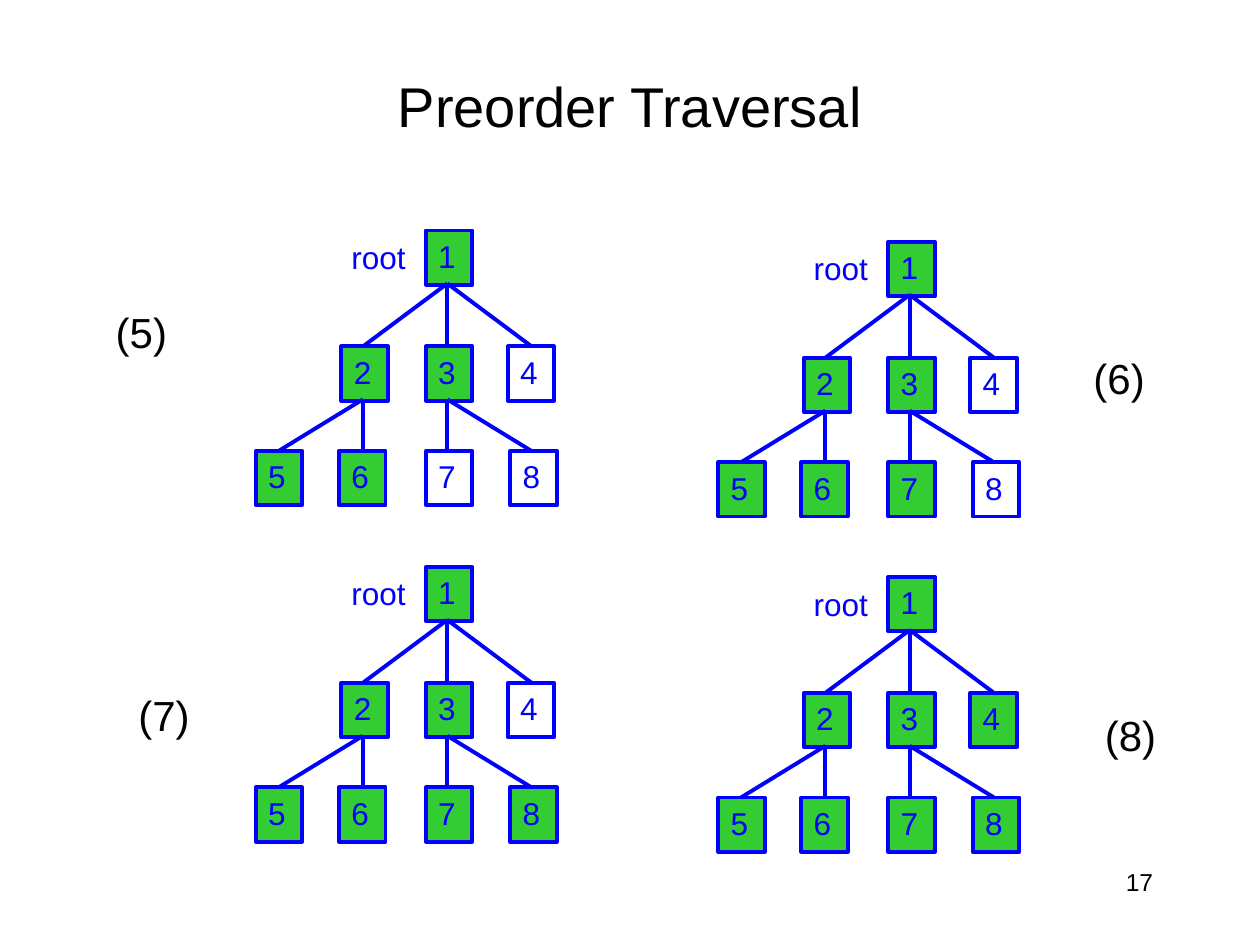
from pptx import Presentation
from pptx.dml.color import RGBColor
from pptx.enum.shapes import MSO_CONNECTOR, MSO_SHAPE
from pptx.enum.text import MSO_ANCHOR, MSO_AUTO_SIZE, PP_ALIGN
from pptx.oxml.ns import qn
from pptx.util import Inches, Pt
from lxml.etree import SubElement

COLORS = {"blue": "0000FF", "green": "33CC33", "black": "000000"}
ORDER = "12563784"
NODES = {
    "1": (0, 0), "2": (-0.67, 0.92), "3": (0, 0.92), "4": (0.65, 0.92),
    "5": (-1.35, 1.75), "6": (-0.69, 1.75), "8": (0.67, 1.75), "7": (0, 1.75),
}
EDGES = [(0, 0, 0), (0, 0, -1), (0, 0, 1),
         (1, -1, -2), (1, -1, -1), (1, 0, 0), (1, 0, 1)]
LEVELS = [(0.42, 0.92), (1.34, 1.75)]
TREES = [(3.38, 1.83), (7.05, 1.92), (3.38, 4.5), (7.05, 4.58)]
LABELS = [(0.82, 2.38), (8.58, 2.75), (1, 5.42), (8.67, 5.58)]


class Deck:
    """Draws styled elements on the current slide."""

    def __init__(self, slide, font="Arial", width=2.25):
        self.shapes = slide.shapes
        self.font = font
        self.width = Pt(width)

    def color(self, name):
        return RGBColor.from_string(COLORS[name])

    def label(self, shape, words, size, color, align=PP_ALIGN.LEFT,
              anchor=MSO_ANCHOR.TOP, wrap=False):
        frame = shape.text_frame
        frame.word_wrap = wrap
        frame.auto_size = MSO_AUTO_SIZE.NONE if wrap else MSO_AUTO_SIZE.SHAPE_TO_FIT_TEXT
        frame.vertical_anchor = anchor
        par = frame.paragraphs[0]
        par.alignment = align
        run = par.add_run()
        run.text = words
        run.font.name = self.font
        run.font.size = Pt(size)
        run.font.color.rgb = self.color(color)

    def text(self, box, words, size, color="black", **style):
        shape = self.shapes.add_textbox(*map(Inches, box))
        self.label(shape, words, size, color, **style)

    def node(self, x, y, key, seen):
        box = map(Inches, (x, y, 0.37, 0.43))
        shape = self.shapes.add_shape(MSO_SHAPE.RECTANGLE, *box)
        shape.shadow.inherit = False
        if seen:
            shape.fill.solid()
            shape.fill.fore_color.rgb = self.color("green")
        else:
            shape.fill.background()
        shape.line.color.rgb = self.color("blue")
        shape.line.width = self.width
        self.label(shape, key, 18, "blue")

    def edge(self, *ends):
        line = self.shapes.add_connector(MSO_CONNECTOR.STRAIGHT, *map(Inches, ends))
        line.line.color.rgb = self.color("blue")
        line.line.width = self.width
        SubElement(line._element.spPr, qn("a:effectLst"))

    def tree(self, x, y, count):
        for key, (dx, dy) in NODES.items():
            self.node(x + dx, y + dy, key, key in ORDER[:count])
        for level, start, end in EDGES:
            top, low = LEVELS[level]
            mid = x + 0.17
            self.edge(mid + 0.67 * start, y + top, mid + 0.67 * end, y + low)
        self.text((x - 0.69, y + 0.01, 0.63, 0.4), "root", 18, "blue")


prs = Presentation()
prs.slide_width, prs.slide_height = Inches(10), Inches(7.5)
deck = Deck(prs.slides.add_slide(prs.slide_layouts[6]))
deck.text((7.17, 6.83, 2.08, 0.5), "17", 14, align=PP_ALIGN.RIGHT, wrap=True)
deck.text((0.75, 0.42, 8.5, 0.83), "Preorder Traversal", 32,
          align=PP_ALIGN.CENTER, anchor=MSO_ANCHOR.MIDDLE, wrap=True)
for count, (root, label) in enumerate(zip(TREES, LABELS), 5):
    deck.tree(*root, count)
    deck.text((*label, 0.61, 0.5), f"({count})", 24)
prs.save("out.pptx")
